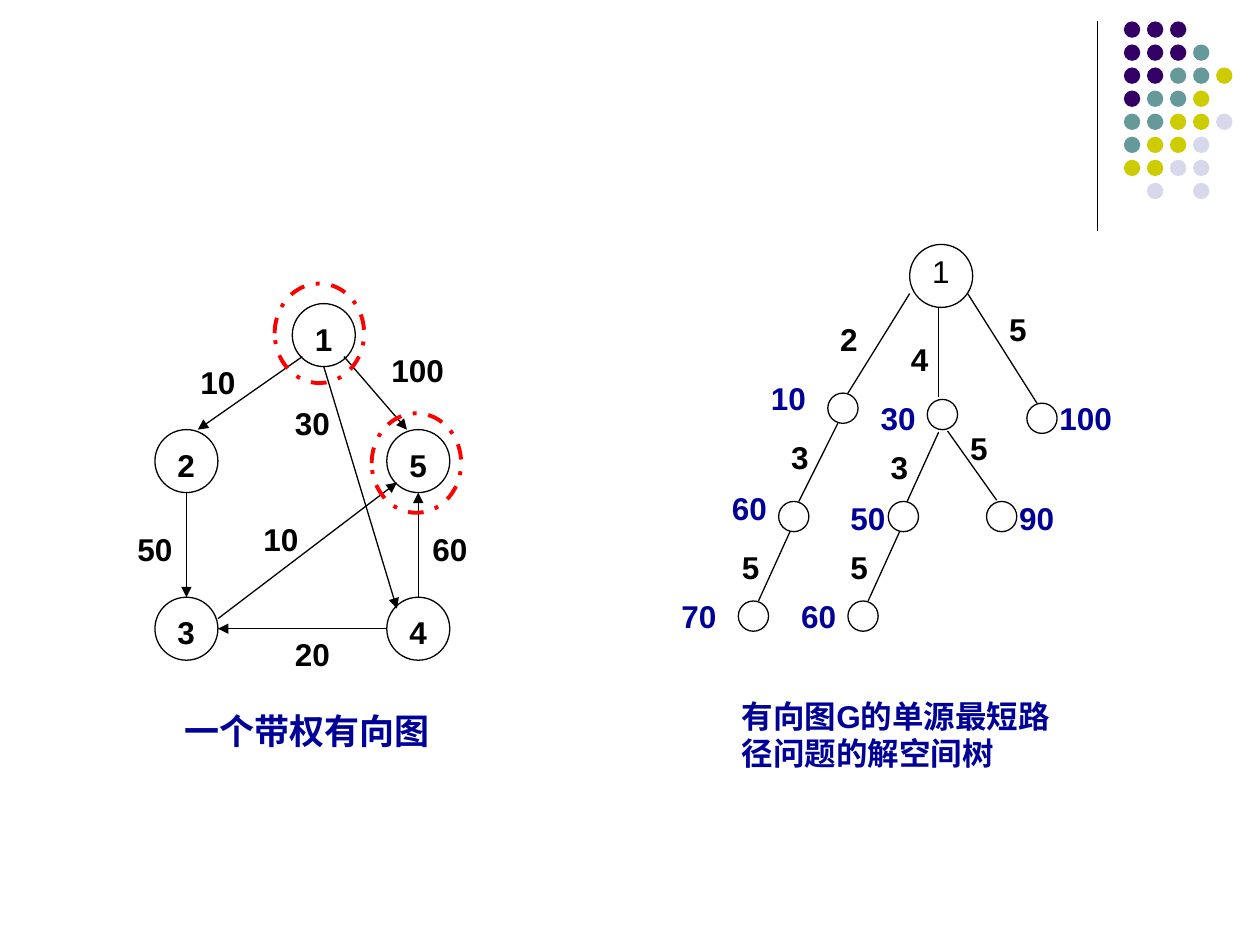
import pptx
import pptx.util
import pptx.dml.color
import pptx.enum.dml
import pptx.enum.shapes
import pptx.enum.text
import pptx.oxml.ns
import lxml.etree

Inches = pptx.util.Inches
BLACK, NAVY, RED = "000000", "000099", "FF0000"
SHADES = {"P": "330066", "T": "669999", "Y": "CCCC00", "L": "D8D8EC"}
DOTS = ["PPP", "PPPT", "PPTTY", "PTTY", "TTYYL", "TYYL", "YYLL", " L L"]


def paint(color, shade):
    """Set a colour from a hex string."""
    color.rgb = pptx.dml.color.RGBColor.from_string(shade)


def oval(slide, x, y, w, h, fill=None, line=None, width=0.75):
    """Add an ellipse with an optional fill and outline."""
    shape = slide.shapes.add_shape(pptx.enum.shapes.MSO_SHAPE.OVAL,
                                   Inches(x), Inches(y), Inches(w), Inches(h))
    shape.shadow.inherit = False
    if fill:
        shape.fill.solid()
        paint(shape.fill.fore_color, fill)
    else:
        shape.fill.background()
    if line:
        paint(shape.line.color, line)
        shape.line.width = pptx.util.Pt(width)
    else:
        shape.line.fill.background()
    return shape


def link(slide, x1, y1, x2, y2, arrow=False):
    """Add a thin black line, with an arrowhead at its end if asked."""
    line = slide.shapes.add_connector(pptx.enum.shapes.MSO_CONNECTOR.STRAIGHT,
                                      Inches(x1), Inches(y1), Inches(x2), Inches(y2))
    paint(line.line.color, BLACK)
    line.line.width = pptx.util.Pt(0.75)
    qn = pptx.oxml.ns.qn
    if arrow:
        lxml.etree.SubElement(line.line._get_or_add_ln(), qn("a:tailEnd"), type="triangle")
    lxml.etree.SubElement(line._element.spPr, qn("a:effectLst"))


def label(slide, text, x, y, w, h=0.4, shade=BLACK, size=18, bold=True, center=False):
    """Add a wrapped text box of one paragraph."""
    frame = slide.shapes.add_textbox(Inches(x), Inches(y), Inches(w), Inches(h)).text_frame
    frame.word_wrap = True
    frame.text = text
    para = frame.paragraphs[0]
    align = pptx.enum.text.PP_ALIGN
    para.alignment = align.CENTER if center else align.LEFT
    font = para.runs[0].font
    font.name, font.size, font.bold = "Arial", pptx.util.Pt(size), bold
    paint(font.color, shade)


def corner(slide, x, y):
    """Draw the rule and the dot pattern at the top right."""
    link(slide, x, y, x, y + 1.66)
    for row, marks in enumerate(DOTS):
        for col, mark in enumerate(marks):
            if mark in SHADES:
                oval(slide, x + 0.21 + col * 0.183, y + row * 0.183, 0.13, 0.13, SHADES[mark])


def tree(slide, x, y):
    """Draw the solution space tree with its caption."""
    oval(slide, x + 1.91, y, 0.5, 0.5, line=BLACK)
    label(slide, "1", x + 1.99, y + 0.01, 0.42, bold=False)
    for dx, dy in [(1.26, 1.18), (2.05, 1.23), (2.84, 1.26), (0.87, 2.04),
                   (1.74, 2.04), (2.52, 2.04), (0.55, 2.83), (1.42, 2.83)]:
        oval(slide, x + dx, y + dy, 0.24, 0.24, line=BLACK)
    for x1, y1, x2, y2 in [(1.91, 0.39, 1.42, 1.18), (2.14, 0.5, 2.14, 1.21),
                           (2.37, 0.39, 2.92, 1.26), (1.34, 1.42, 1.03, 2.04),
                           (2.14, 1.49, 1.89, 2.04), (2.21, 1.48, 2.6, 2.03),
                           (0.96, 2.28, 0.71, 2.83), (1.83, 2.28, 1.58, 2.83)]:
        link(slide, x + x1, y + y1, x + x2, y + y2)
    for text, dx, dy in [("2", 1.26, 0.55), ("4", 1.82, 0.71), ("5", 2.6, 0.47),
                         ("3", 0.87, 1.49), ("3", 1.66, 1.57), ("5", 2.29, 1.42),
                         ("5", 0.48, 2.36), ("5", 1.34, 2.36)]:
        label(slide, text, x + dx, y + dy, 0.42)
    for text, dx, dy in [("10", 0.71, 1.02), ("30", 1.58, 1.18), ("100", 3, 1.18),
                         ("60", 0.4, 1.89), ("50", 1.34, 1.97), ("90", 2.68, 1.97),
                         ("70", 0, 2.75), ("60", 0.95, 2.75)]:
        label(slide, text, x + dx, y + dy, 0.23 + 0.16 * len(text), shade=NAVY)
    label(slide, "有向图G的单源最短路径问题的解空间树", x + 0.48, y + 3.54, 2.68, 0.7, NAVY)


def graph(slide, x, y):
    """Draw the weighted directed graph with its caption."""
    for text, dx, dy in [("1", 1.59, 0.41), ("2", 0.5, 1.41), ("3", 0.5, 2.74),
                         ("5", 2.34, 1.41), ("4", 2.34, 2.74)]:
        oval(slide, x + dx - 0.25, y + dy - 0.25, 0.5, 0.5, line=BLACK)
        label(slide, text, x + dx - 0.17, y + dy - 0.17, 0.42)
    for x1, y1, x2, y2 in [(1.42, 0.58, 0.59, 1.16), (1.59, 0.66, 2.17, 2.58),
                           (1.75, 0.58, 2.25, 1.16), (2.34, 2.49, 2.34, 1.66),
                           (0.5, 1.66, 0.5, 2.49), (0.75, 2.66, 2.17, 1.58),
                           (2.09, 2.74, 0.75, 2.74)]:
        link(slide, x + x1, y + y1, x + x2, y + y2, arrow=True)
    for text, dx, dy in [("100", 2, 0.49), ("10", 0.5, 0.58), ("50", 0, 1.91),
                         ("10", 1, 1.83), ("30", 1.25, 0.91), ("60", 2.34, 1.91),
                         ("20", 1.25, 2.74)]:
        label(slide, text, x + dx, y + dy, 0.16 + 0.17 * len(text), center=True)
    label(slide, "一个带权有向图", x, y + 3.33, 2.92, 0.43, NAVY, 20, center=True)
    for dx, dy in [(1.97, 1.03), (1.2, 0)]:
        ring = oval(slide, x + dx, y + dy, 0.71, 0.79, line=RED, width=2.25)
        ring.line.dash_style = pptx.enum.dml.MSO_LINE.DASH_DOT


def main():
    """Build the slide and save it."""
    deck = pptx.Presentation()
    deck.slide_width, deck.slide_height = Inches(10), Inches(7.5)
    slide = deck.slides.add_slide(deck.slide_layouts[6])
    corner(slide, 8.71, 0.17)
    tree(slide, 5.31, 1.94)
    graph(slide, 0.98, 2.25)
    deck.save("out.pptx")


if __name__ == "__main__":
    main()
